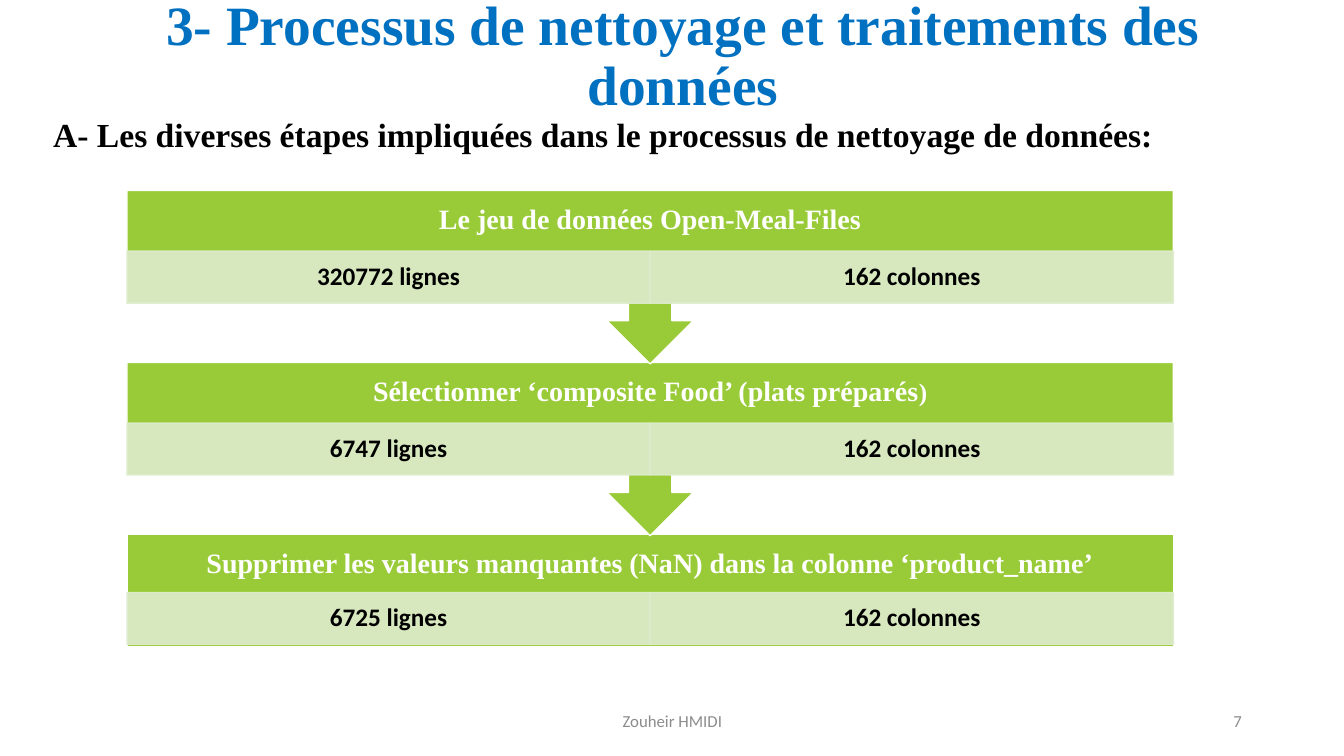
from dataclasses import dataclass
from lxml import etree
from pptx import Presentation
from pptx.dml.color import RGBColor
from pptx.enum.shapes import MSO_SHAPE as Preset
from pptx.enum.text import MSO_ANCHOR as Anchor, PP_ALIGN as Align
from pptx.oxml.ns import qn
from pptx.util import Cm, Pt


@dataclass(frozen=True)
class Theme:
    blue: str = "0070C0"
    green: str = "99CB38"
    pale: str = "DEECCE"
    white: str = "FFFFFF"
    black: str = "000000"
    grey: str = "8C8C8C"
    serif: str = "Times New Roman"
    sans: str = "Calibri"
    title: float = 39.6
    subtitle: float = 24
    header: float = 20
    cell: float = 18
    footer: float = 12


theme = Theme()


def write(shape, text, font, size, color, bold=True, align=Align.CENTER, spacing=0.9):
    frame = shape.text_frame
    frame.word_wrap = True
    frame.vertical_anchor = Anchor.MIDDLE
    paragraph = frame.paragraphs[0]
    paragraph.alignment = align
    paragraph.line_spacing = spacing
    paragraph.font.name = font
    paragraph.font.size = Pt(size)
    paragraph.font.bold = bold
    paragraph.font.color.rgb = RGBColor.from_string(color)
    paragraph.add_run().text = text
    return frame


def block(preset, left, top, width, height, fill, line, opacity=100):
    shape = slide.shapes.add_shape(preset, Cm(left), Cm(top), Cm(width), Cm(height))
    shape.shadow.inherit = False
    shape.fill.solid()
    shape.fill.fore_color.rgb = RGBColor.from_string(fill)
    shape.line.color.rgb = RGBColor.from_string(line)
    shape.line.width = Pt(1)
    if opacity < 100:
        for color in shape.fill._xPr.iter(qn("a:srgbClr")):
            etree.SubElement(color, qn("a:alpha")).set("val", str(opacity * 1000))
    return shape


prs = Presentation()
prs.slide_width, prs.slide_height = Cm(33.87), Cm(19.05)
slide = prs.slides.add_slide(prs.slide_layouts[6])

title = slide.shapes.add_textbox(Cm(1.65), Cm(0.38), Cm(31.12), Cm(3.68))
title_frame = write(title, "3- Processus de nettoyage et traitements des données",
                    theme.serif, theme.title, theme.blue)
title_frame.margin_bottom = Cm(1.65)

author = slide.shapes.add_textbox(Cm(11.23), Cm(17.65), Cm(11.43), Cm(1.02))
write(author, "Zouheir HMIDI", theme.sans, theme.footer, theme.grey, bold=False, spacing=1)

page_number = slide.shapes.add_textbox(Cm(23.93), Cm(17.65), Cm(7.62), Cm(1.02))
write(page_number, "7", theme.sans, theme.footer, theme.grey, bold=False,
      align=Align.RIGHT, spacing=1)

subtitle = slide.shapes.add_textbox(Cm(1.09), Cm(2.74), Cm(28.83), Cm(1.28))
write(subtitle, "A- Les diverses étapes impliquées dans le processus de nettoyage de données:",
      theme.serif, theme.subtitle, theme.black, align=Align.LEFT, spacing=1)

steps = [
    ("Le jeu de données Open-Meal-Files", "", "320772 lignes"),
    ("Sélectionner ‘composite Food’ (plats préparés", ")", "6747 lignes"),
    ("Supprimer les valeurs manquantes (NaN) dans la colonne ‘product_name’", "", "6725 lignes"),
]
left, first_top, pitch = 3.2, 4.8, 4.33
width, header_height, cell_height = 26.37, 1.52, 1.31
callout_height, last_height = 4.37, 2.84
cell_width = width / 2

for index, (heading, small_ending, rows) in reversed(list(enumerate(steps))):
    top = first_top + index * pitch
    is_last = index == len(steps) - 1
    preset = Preset.RECTANGLE if is_last else Preset.UP_ARROW_CALLOUT
    height = last_height if is_last else callout_height
    step = block(preset, left, top, width, height, theme.green, theme.white)
    if not is_last:
        step.rotation = 180

    header = slide.shapes.add_textbox(Cm(left), Cm(top), Cm(width), Cm(header_height))
    header_frame = write(header, heading, theme.serif, theme.header, theme.white)
    if small_ending:
        ending = header_frame.paragraphs[0].add_run()
        ending.text = small_ending
        ending.font.size = Pt(theme.cell)

    cell_top = top + (1.47 if is_last else 1.53)
    for column, count in enumerate((rows, "162 colonnes")):
        cell = block(Preset.RECTANGLE, left + column * cell_width, cell_top,
                     cell_width, cell_height, theme.pale, theme.pale, opacity=90)
        write(cell, count, theme.sans, theme.cell, theme.black)

prs.save("out.pptx")
